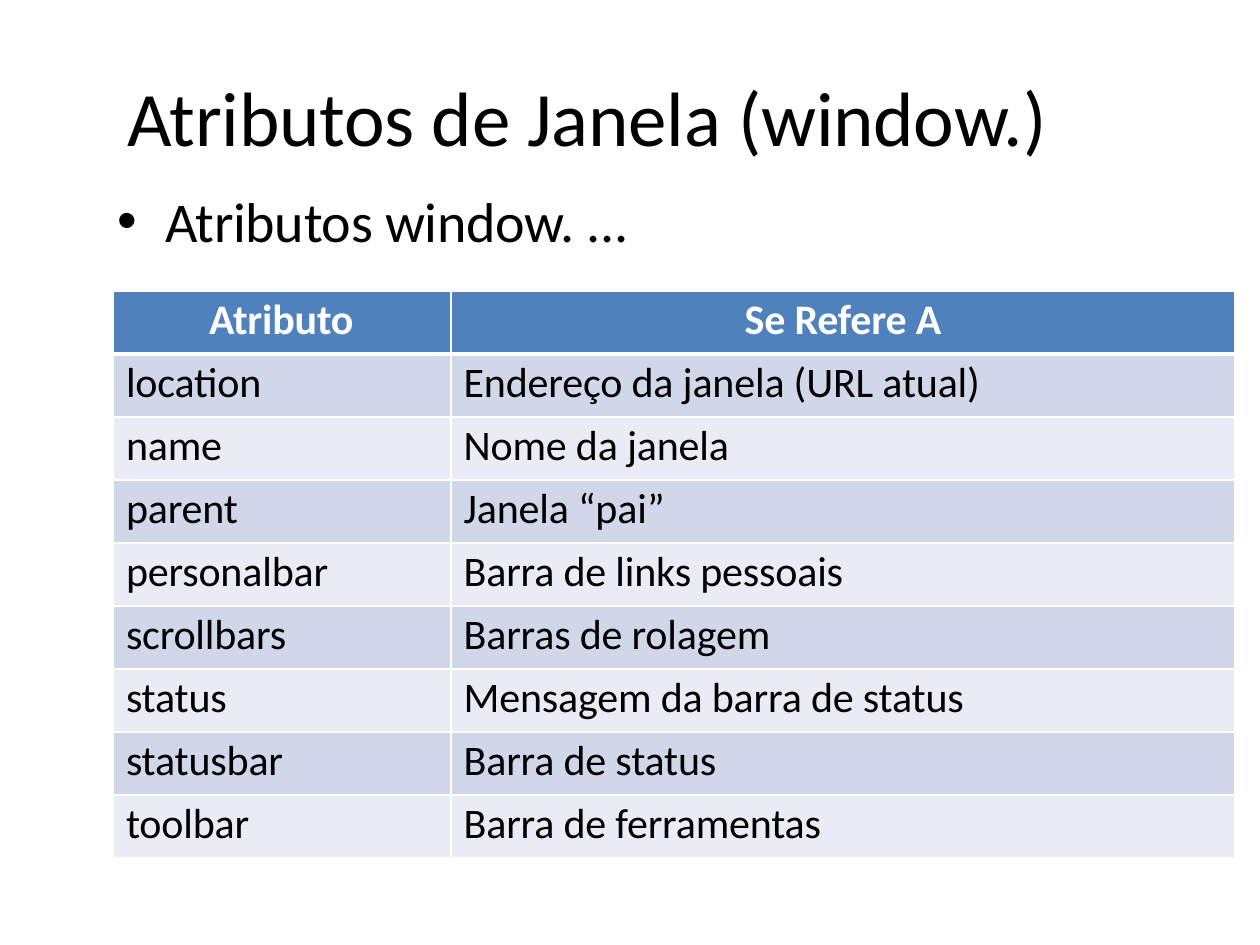
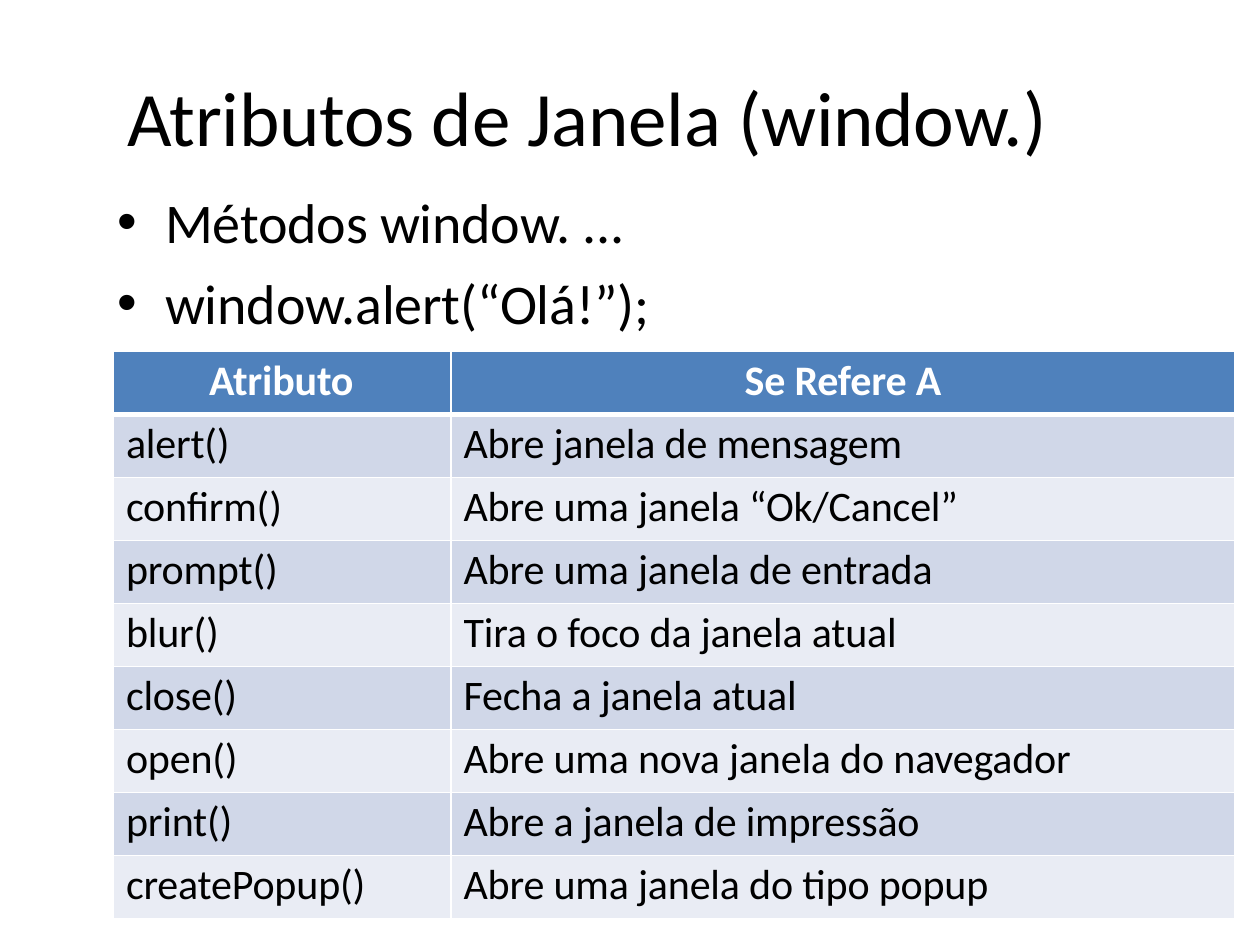
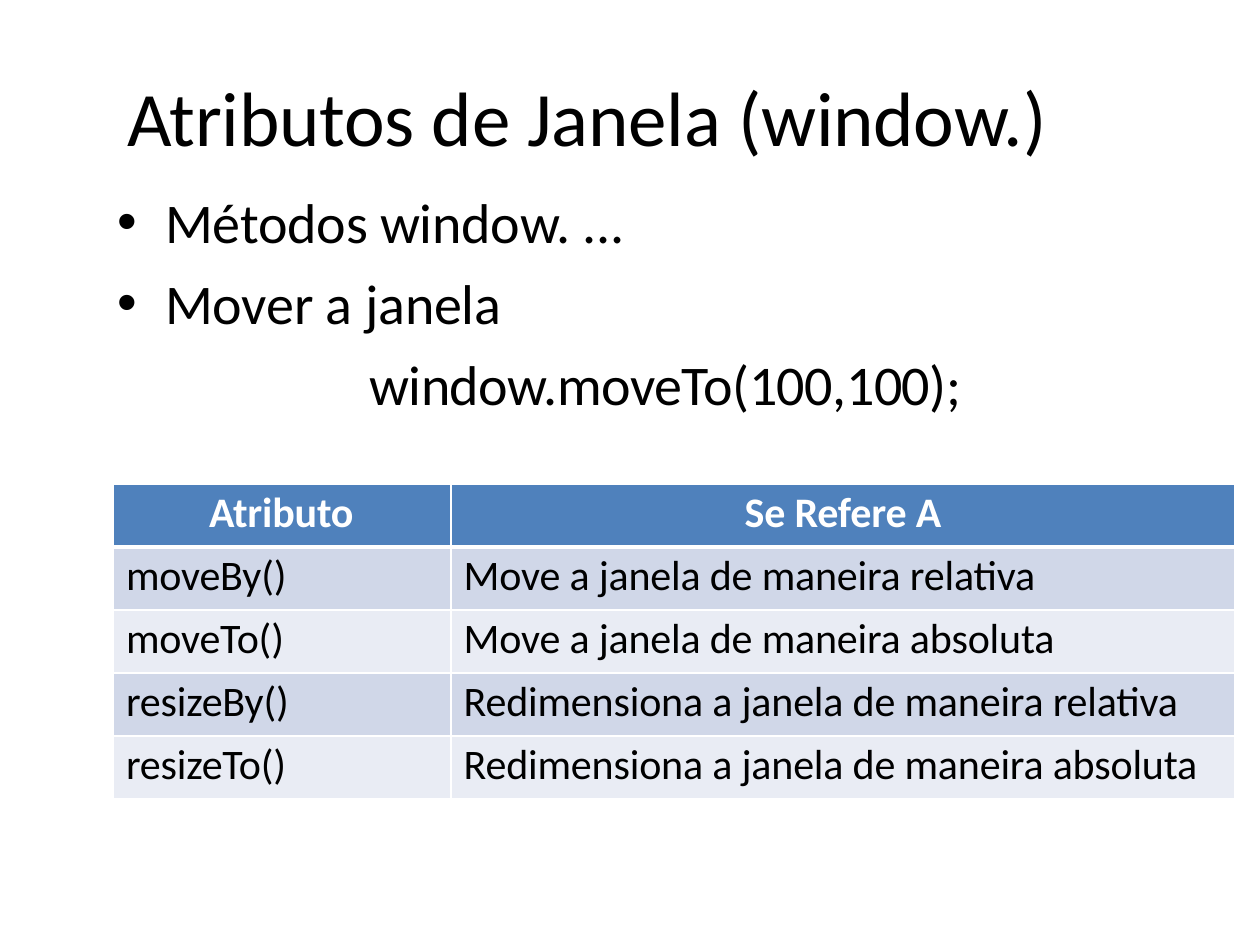
"""Build three slides on the attributes and methods of the window object."""
from dataclasses import dataclass

from lxml import etree
from pptx import Presentation
from pptx.dml.color import RGBColor
from pptx.enum.text import MSO_AUTO_SIZE, PP_ALIGN
from pptx.oxml.ns import qn
from pptx.util import Inches, Pt

CENTER = PP_ALIGN.CENTER
GROW = MSO_AUTO_SIZE.SHAPE_TO_FIT_TEXT
COLORS = {
    "text": "000000",
    "white": "FFFFFF",
    "header": "4F81BC",
    "odd": "D0D7E8",
    "even": "E9ECF4",
}
FONT = "Calibri"
TITLE = "Atributos de Janela (window.)"
HEADER = ("Atributo", "Se Refere A")
COLUMN_WIDTHS = (2.68, 6.22)
ROW_HEIGHT = 0.5


@dataclass(frozen=True)
class Line:
    """One line of body text above a table."""
    text: str
    before: float = 7.7
    indent: float = 0.39
    hanging: float = -0.38
    bullet: bool = True
    tracking: float = -0.15


@dataclass(frozen=True)
class Page:
    """Content and placement of one slide."""
    lines: tuple[Line, ...]
    body: tuple[float, float, float, float]
    body_inset: float
    table_top: float
    rows: tuple[tuple[str, str], ...]


PAGES = (
    Page(
        (Line("Atributos window. ...", before=1.1, tracking=-0.2),),
        (0.92, 1.47, 4.14, 0.56), 0.01, 2.31,
        (
            ("location", "Endereço da janela (URL atual)"),
            ("name", "Nome da janela"),
            ("parent", "Janela “pai”"),
            ("personalbar", "Barra de links pessoais"),
            ("scrollbars", "Barras de rolagem"),
            ("status", "Mensagem da barra de status"),
            ("statusbar", "Barra de status"),
            ("toolbar", "Barra de ferramentas"),
        ),
    ),
    Page(
        (Line("Métodos window. ...", before=8.7),
         Line("window.alert(“Olá!”);", tracking=-0.1)),
        (0.92, 1.37, 4.28, 1.31), 0.12, 2.79,
        (
            ("alert()", "Abre janela de mensagem"),
            ("confirm()", "Abre uma janela “Ok/Cancel”"),
            ("prompt()", "Abre uma janela de entrada"),
            ("blur()", "Tira o foco da janela atual"),
            ("close()", "Fecha a janela atual"),
            ("open()", "Abre uma nova janela do navegador"),
            ("print()", "Abre a janela de impressão"),
            ("createPopup()", "Abre uma janela do tipo popup"),
        ),
    ),
    Page(
        (Line("Métodos window. ...", before=8.7),
         Line("Mover a janela", tracking=-0.1),
         Line("window.moveTo(100,100);", indent=2.01, hanging=0,
              bullet=False, tracking=-0.3)),
        (0.92, 1.37, 6.82, 1.95), 0.12, 3.84,
        (
            ("moveBy()", "Move a janela de maneira relativa"),
            ("moveTo()", "Move a janela de maneira absoluta"),
            ("resizeBy()", "Redimensiona a janela de maneira relativa"),
            ("resizeTo()", "Redimensiona a janela de maneira absoluta"),
        ),
    ),
)


def write(p, text: str, *, size: float, color: str = "text", bold: bool = False,
          align=None, before: float = 0, indent: float = 0, hanging: float = 0,
          bullet: bool = False, tracking: float = -0.1) -> None:
    """Fill a paragraph with one formatted run."""
    p.alignment = align
    p.space_before = Pt(before)
    pPr = p._p.get_or_add_pPr()
    pPr.set("marL", str(Inches(indent)))
    pPr.set("indent", str(Inches(hanging)))
    if bullet:
        etree.SubElement(pPr, qn("a:buFont"), typeface="Arial")
        etree.SubElement(pPr, qn("a:buChar"), char="•")
    r = p.add_run()
    r.text = text
    r.font.name = FONT
    r.font.size = Pt(size)
    r.font.bold = bold
    r.font.color.rgb = RGBColor.from_string(COLORS[color])
    r._r.get_or_add_rPr().set("spc", str(round(tracking * 100)))


def add_text_box(s, box: tuple[float, float, float, float], inset: float):
    """Add a wrapping text box and return its text frame."""
    tf = s.shapes.add_textbox(*map(Inches, box)).text_frame
    tf.word_wrap = True
    tf.auto_size = GROW
    tf.margin_left = tf.margin_right = tf.margin_bottom = 0
    tf.margin_top = Inches(inset)
    return tf


def set_borders(cell, top: float, bottom: float) -> None:
    """Draw white borders around a cell."""
    tcPr = cell._tc.get_or_add_tcPr()
    for side, width in (("L", 1), ("R", 1), ("T", top), ("B", bottom)):
        ln = etree.SubElement(tcPr, qn(f"a:ln{side}"), w=str(Pt(width)))
        fill = etree.SubElement(ln, qn("a:solidFill"))
        etree.SubElement(fill, qn("a:srgbClr"), val=COLORS["white"])


def add_attribute_table(s, page: Page) -> None:
    """Add the header and banded rows of a page."""
    rows = (HEADER, *page.rows)
    table = s.shapes.add_table(
        len(rows), len(HEADER), Inches(0.9), Inches(page.table_top),
        Inches(sum(COLUMN_WIDTHS)), Inches(ROW_HEIGHT * len(rows))).table
    for column, width in zip(table.columns, COLUMN_WIDTHS):
        column.width = Inches(width)
    for i, row in enumerate(rows):
        table.rows[i].height = Inches(ROW_HEIGHT)
        band = "header" if i == 0 else "odd" if i % 2 else "even"
        for j, text in enumerate(row):
            cell = table.cell(i, j)
            cell.margin_left = cell.margin_right = cell.margin_bottom = 0
            cell.margin_top = Inches(0.03)
            set_borders(cell, 3 if i == 1 else 1, 3 if i == 0 else 1)
            cell.fill.solid()
            cell.fill.fore_color.rgb = RGBColor.from_string(COLORS[band])
            p = cell.text_frame.paragraphs[0]
            if i == 0:
                write(p, text, size=24, color="white", bold=True, before=2.1,
                      align=CENTER if j else None, indent=0 if j else 0.76)
            else:
                write(p, text, size=24, before=2.1, indent=0.1)


def add_page(prs, page: Page) -> None:
    """Add one slide with its title, table and body lines."""
    s = prs.slides.add_slide(prs.slide_layouts[6])
    tf = add_text_box(s, (1, 0.54, 7.39, 0.76), 0.01)
    write(tf.paragraphs[0], TITLE, size=44, before=1.1, indent=0.01,
          tracking=-0.15)
    add_attribute_table(s, page)
    tf = add_text_box(s, page.body, page.body_inset)
    for i, line in enumerate(page.lines):
        p = tf.add_paragraph() if i else tf.paragraphs[0]
        write(p, line.text, size=32, before=line.before, indent=line.indent,
              hanging=line.hanging, bullet=line.bullet, tracking=line.tracking)


def main() -> None:
    """Build and save the presentation."""
    prs = Presentation()
    prs.slide_width, prs.slide_height = Inches(10), Inches(7.5)
    for page in PAGES:
        add_page(prs, page)
    prs.save("out.pptx")


if __name__ == "__main__":
    main()
